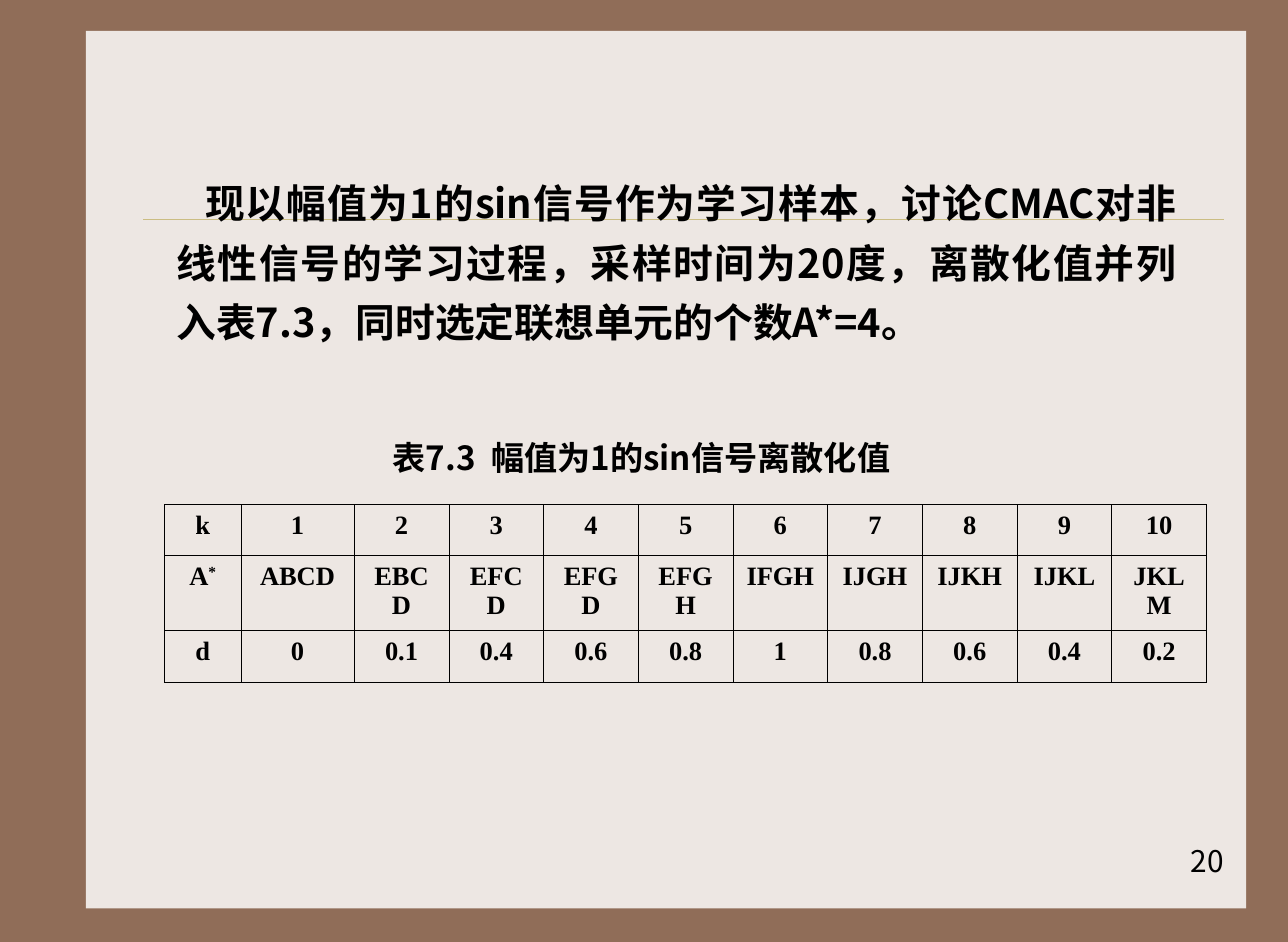
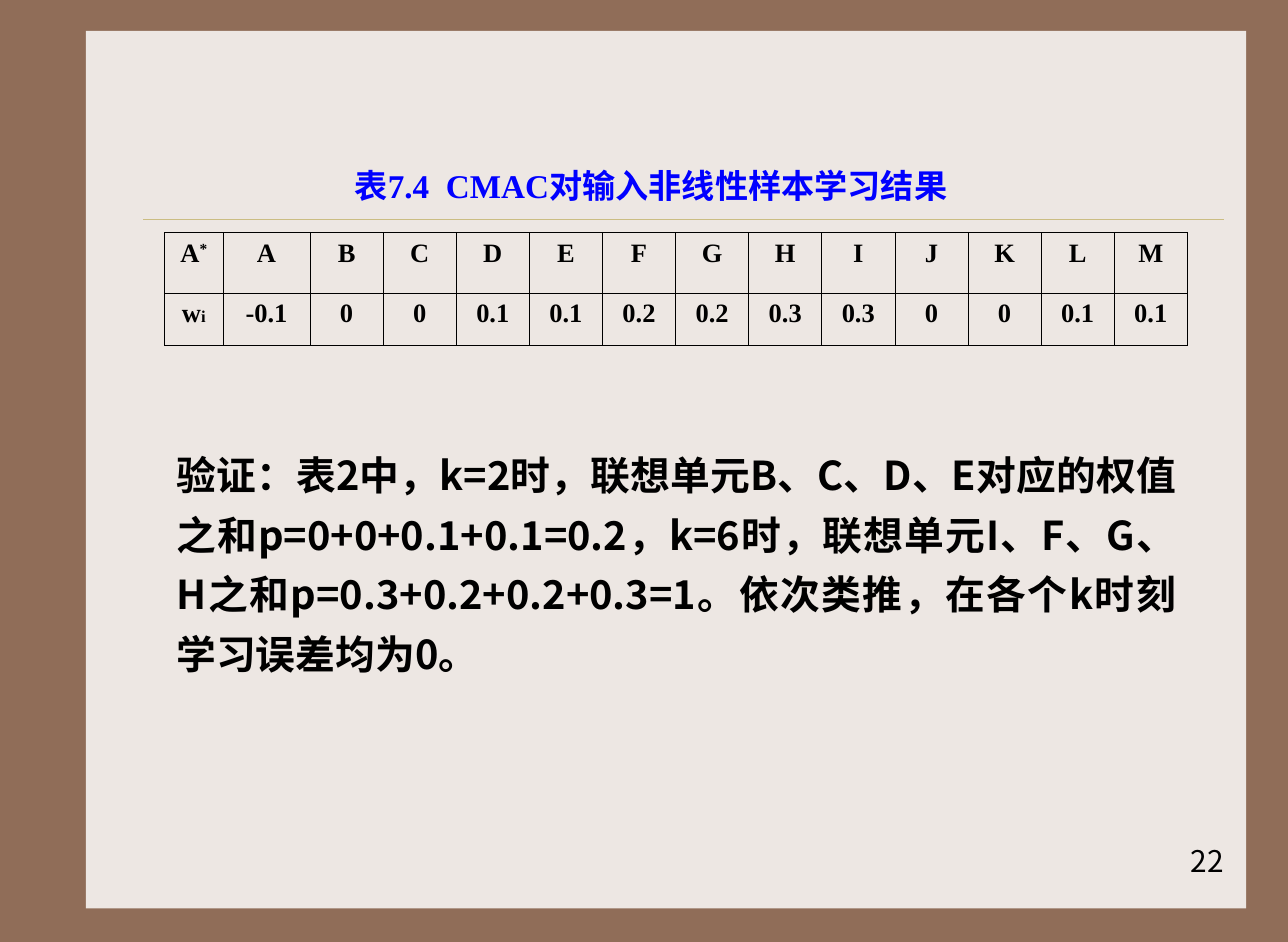
from lxml.etree import SubElement
from pptx import Presentation
from pptx.dml.color import RGBColor
from pptx.enum.shapes import MSO_CONNECTOR as Connector, MSO_SHAPE as Shape
from pptx.enum.text import MSO_ANCHOR as Anchor, MSO_AUTO_SIZE as AutoSize, PP_ALIGN as Align
from pptx.oxml import parse_xml
from pptx.oxml.ns import nsdecls, qn
from pptx.util import Inches, Pt

BROWN = RGBColor(0x90, 0x6D, 0x58)
CREAM = RGBColor(0xED, 0xE7, 0xE3)
SAND = RGBColor(0xCB, 0xBD, 0x83)
BLACK = RGBColor(0x00, 0x00, 0x00)
BLUE = RGBColor(0x00, 0x00, 0xFF)
SANS = "Noto Sans CJK SC"
SERIF = "Times New Roman"

MARKED = {
    "A*": ("A", "*", {"baseline": "30000"}),
    "wi": ("w", "i", {"sz": "1000"}),
}

SLIDES = [
    {
        "number": "20",
        "title": "表7.3  幅值为1的sin信号离散化值",
        "title_at": (2.68, 3.62, 5.4, 0.44),
        "title_font": SANS,
        "title_color": BLACK,
        "body": "现以幅值为1的sin信号作为学习样本，讨论CMAC对非线性信号的学习过程，"
                "采样时间为20度，离散化值并列入表7.3，同时选定联想单元的个数A*=4。",
        "body_at": (1.38, 1.35, 8.58, 1.6),
        "indent": 0.24,
        "table_at": (1.38, 4.23, 8.74, 1.49),
        "first_columns": (0.64, 0.95),
        "row_heights": (0.43, 0.63, 0.43),
        "rows": [
            ["k", "1", "2", "3", "4", "5", "6", "7", "8", "9", "10"],
            ["A*", "ABCD", "EBCD", "EFCD", "EFGD", "EFGH",
             "IFGH", "IJGH", "IJKH", "IJKL", "JKLM"],
            ["d", "0", "0.1", "0.4", "0.6", "0.8", "1", "0.8", "0.6", "0.4", "0.2"],
        ],
    },
    {
        "number": "22",
        "title": "表7.4  CMAC对输入非线性样本学习结果",
        "title_at": (2.76, 1.34, 5.4, 0.44),
        "title_font": SERIF,
        "title_color": BLUE,
        "body": "验证：表2中，k=2时，联想单元B、C、D、E对应的权值之和p=0+0+0.1+0.1=0.2，"
                "k=6时，联想单元I、F、G、H之和p=0.3+0.2+0.2+0.3=1。"
                "依次类推，在各个k时刻学习误差均为0。",
        "body_at": (1.38, 3.63, 8.58, 2.1),
        "indent": 0,
        "table_at": (1.38, 1.95, 8.58, 0.95),
        "first_columns": (0.49, 0.73),
        "row_heights": (0.51, 0.44),
        "rows": [
            ["A*", *"ABCDEFGHIJKLM"],
            ["wi", "-0.1", "0", "0", "0.1", "0.1", "0.2", "0.2",
             "0.3", "0.3", "0", "0", "0.1", "0.1"],
        ],
    },
]


def inches(lengths):
    return [Inches(length) for length in lengths]


def format_para(para, align, size, font, color=BLACK, bold=True):
    para.alignment = align
    for span in para.runs:
        span.font.size = Pt(size)
        span.font.bold = bold
        span.font.name = font
        span.font.color.rgb = color
        SubElement(span.font._element, qn("a:ea")).set("typeface", SANS)


def fill_box(box, at, text, anchor=Anchor.TOP):
    box.left, box.top, box.width, box.height = inches(at)
    frame = box.text_frame
    frame.word_wrap = True
    frame.auto_size = AutoSize.NONE
    frame.vertical_anchor = anchor
    frame.text = text
    return frame.paragraphs[0]


def build_master(deck, page):
    master = deck.slide_master
    master.background.fill.solid()
    master.background.fill.fore_color.rgb = BROWN

    panel = page.shapes.add_shape(Shape.RECTANGLE, *inches((0.72, 0.26, 9.73, 7.36)))
    panel.shadow.inherit = False
    panel.fill.solid()
    panel.fill.fore_color.rgb = CREAM
    panel.line.fill.background()

    rule = page.shapes.add_connector(Connector.STRAIGHT, *inches((1.2, 1.84, 10.26, 1.84)))
    rule.line.color.rgb = SAND
    rule.line.width = Pt(0.25)
    SubElement(rule.element.spPr, qn("a:effectLst"))

    for order, shape in enumerate((panel, rule)):
        shape.element.xpath("./*/p:cNvPr")[0].set("id", str(100 + order))
        master.shapes.element.insert(2 + order, shape.element)


def format_cell(cell, text):
    para = cell.text_frame.paragraphs[0]
    if text in MARKED:
        base, mark, style = MARKED[text]
        para.add_run().text = base
        para.add_run().text = mark
    else:
        para.text, style = text, {}
    format_para(para, Align.CENTER, 16, SERIF)
    for name, value in style.items():
        para.runs[-1].font._element.set(name, value)

    cell.fill.solid()
    cell.fill.fore_color.rgb = CREAM
    properties = cell._tc.get_or_add_tcPr()
    for order, side in enumerate(("lnL", "lnR", "lnT", "lnB")):
        properties.insert(order, parse_xml(
            f'<a:{side} {nsdecls("a")} w="{Pt(0.45)}"><a:solidFill>'
            f'<a:srgbClr val="{BLACK}"/></a:solidFill></a:{side}>'))


def add_grid(page, content):
    rows = content["rows"]
    count = len(rows[0])
    first = content["first_columns"]
    rest = (content["table_at"][2] - sum(first)) / (count - len(first))
    widths = [*first, *[rest] * (count - len(first))]

    table = page.shapes.add_table(len(rows), count, *inches(content["table_at"])).table
    table.first_row = table.horz_banding = False
    for column, width in zip(table.columns, widths):
        column.width = Inches(width)
    for row, height, texts in zip(table.rows, content["row_heights"], rows):
        row.height = Inches(height)
        for cell, text in zip(row.cells, texts):
            format_cell(cell, text)


def add_content(page, content):
    caption = fill_box(page.shapes.title, content["title_at"], content["title"])
    format_para(caption, Align.CENTER, 20, content["title_font"], content["title_color"])

    body = fill_box(page.placeholders[1], content["body_at"], content["body"])
    format_para(body, Align.JUSTIFY, 24, SANS)
    body.line_spacing = 1.25
    body.space_before = Pt(0)
    properties = body._p.get_or_add_pPr()
    properties.set("marL", "0")
    properties.set("indent", str(Inches(content["indent"])))
    SubElement(properties, qn("a:buNone"))

    add_grid(page, content)

    number_at = (8.08, 6.86, 2.28, 0.71)
    number_box = page.shapes.add_textbox(*inches(number_at))
    number = fill_box(number_box, number_at, content["number"], Anchor.MIDDLE)
    format_para(number, Align.RIGHT, 18, SANS, bold=False)


def main():
    deck = Presentation()
    deck.slide_width, deck.slide_height = inches((10.8, 7.9))
    pages = [deck.slides.add_slide(deck.slide_layouts[1]) for _ in SLIDES]
    build_master(deck, pages[0])
    for page, content in zip(pages, SLIDES):
        add_content(page, content)
    deck.save("out.pptx")


if __name__ == "__main__":
    main()
